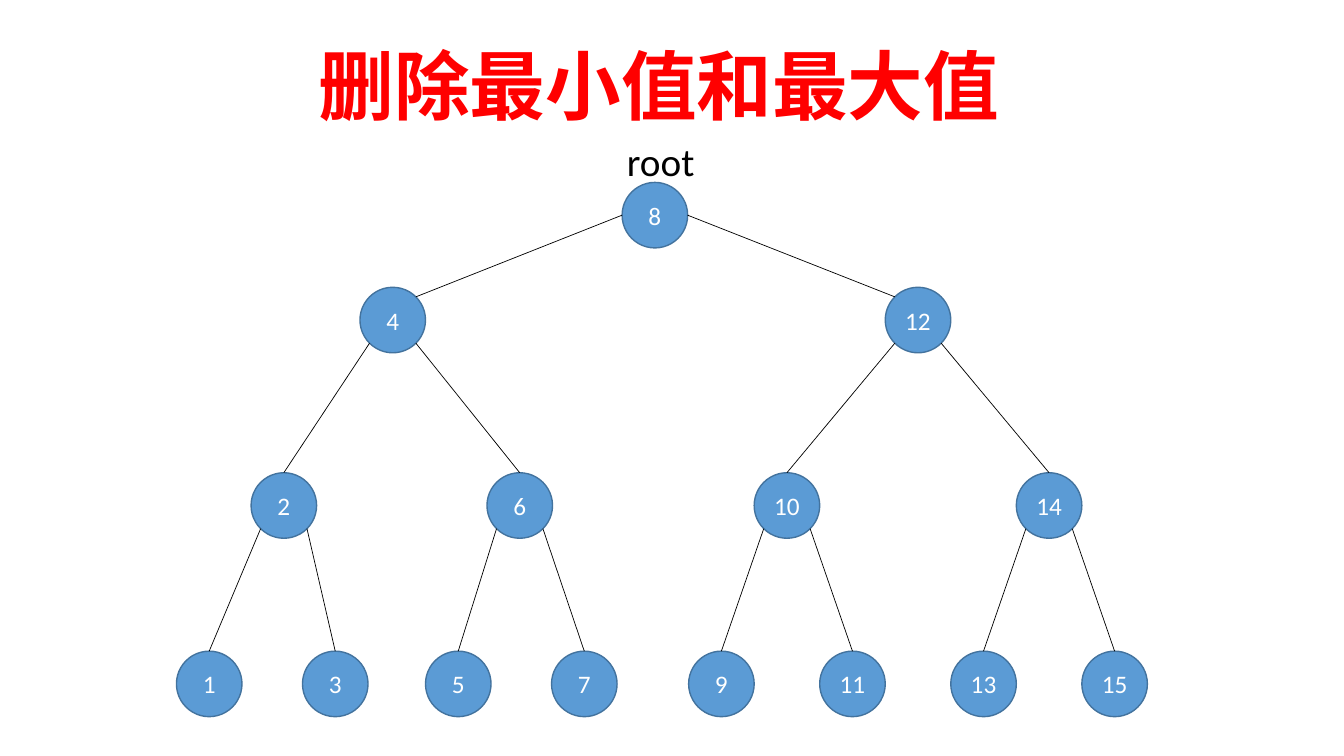
import math
from dataclasses import dataclass

import pptx
import pptx.dml.color
import pptx.enum.shapes
import pptx.enum.text
import pptx.oxml
import pptx.oxml.ns
import pptx.util

Inches = pptx.util.Inches
Pt = pptx.util.Pt

FONT = "Calibri"
COLORS = {
    "title": "FF0000",
    "label": "000000",
    "edge": "000000",
    "node": "5B9BD5",
    "outline": "43739E",
    "value": "FFFFFF",
}
DIAMETER = 0.65
RADIUS = DIAMETER / 2
DIAGONAL = RADIUS * math.sqrt(0.5)
# Top of each tree level, keyed by the distance from a node's value to its children's, doubled.
LEVEL_TOPS = {8: 1.81, 4: 2.85, 2: 4.69, 1: 6.46}
# Left edges of the nodes holding 1, 2, 3 and so on.
NODE_LEFTS = [1.75, 2.49, 3, 3.57, 4.22, 4.83, 5.47, 6.17,
              6.83, 7.48, 8.13, 8.78, 9.43, 10.08, 10.73]


@dataclass(frozen=True)
class Node:
    value: int
    left: float

    @property
    def span(self) -> int:
        """Largest power of two that divides the value; it marks the level."""
        return self.value & -self.value

    @property
    def top(self) -> float:
        return LEVEL_TOPS[self.span]

    @property
    def center(self) -> tuple[float, float]:
        return self.left + RADIUS, self.top + RADIUS


def rgb(name: str) -> pptx.dml.color.RGBColor:
    return pptx.dml.color.RGBColor.from_string(COLORS[name])


def write_text(shape, text: str, size: int, color: str, align, bold: bool = False) -> None:
    shape.text_frame.text = text
    para = shape.text_frame.paragraphs[0]
    para.alignment = align
    para.font.name = FONT
    para.font.size = Pt(size)
    para.font.bold = bold
    para.font.color.rgb = rgb(color)


def add_title(slide, text: str) -> None:
    title = slide.shapes.title
    title.left, title.top = Inches(3.06), Inches(0.34)
    title.width, title.height = Inches(7.35), Inches(1.01)
    write_text(title, text, 54, "title", pptx.enum.text.PP_ALIGN.LEFT, bold=True)
    title.text_frame.vertical_anchor = pptx.enum.text.MSO_ANCHOR.TOP
    title.text_frame.auto_size = pptx.enum.text.MSO_AUTO_SIZE.SHAPE_TO_FIT_TEXT


def add_root_label(slide) -> None:
    box = slide.shapes.add_textbox(Inches(6.12), Inches(1.31), Inches(0.91), Inches(0.57))
    write_text(box, "root", 28, "label", pptx.enum.text.PP_ALIGN.LEFT)
    box.text_frame.word_wrap = True
    box.text_frame.auto_size = pptx.enum.text.MSO_AUTO_SIZE.SHAPE_TO_FIT_TEXT


def add_node(slide, node: Node):
    circle = slide.shapes.add_shape(
        pptx.enum.shapes.MSO_SHAPE.OVAL, Inches(node.left), Inches(node.top),
        Inches(DIAMETER), Inches(DIAMETER))
    circle.shadow.inherit = False
    circle.fill.solid()
    circle.fill.fore_color.rgb = rgb("node")
    circle.line.color.rgb = rgb("outline")
    circle.line.width = Pt(1)
    write_text(circle, str(node.value), 18, "value", pptx.enum.text.PP_ALIGN.CENTER)
    circle.text_frame.vertical_anchor = pptx.enum.text.MSO_ANCHOR.MIDDLE
    circle.text_frame.word_wrap = False
    return circle


def add_edge(slide, parent: Node, child: Node, child_circle, is_root: bool) -> None:
    """Root edges run from its side to the child's shoulder, others to the child's top."""
    side = 1 if child.value > parent.value else -1
    parent_x, parent_y = parent.center
    child_x, child_y = child.center
    if is_root:
        start = parent_x + side * RADIUS, parent_y
        end = child_x - side * DIAGONAL, child_y - DIAGONAL
    else:
        start = parent_x + side * DIAGONAL, parent_y + DIAGONAL
        end = child_x, child.top
    edge = slide.shapes.add_connector(
        pptx.enum.shapes.MSO_CONNECTOR.STRAIGHT, *map(Inches, start + end))
    if not is_root:
        edge.end_connect(child_circle, 0)
    edge.line.color.rgb = rgb("edge")
    edge.line.width = Pt(0.5)
    properties = edge._element.spPr
    properties.append(pptx.oxml.parse_xml(
        f"<a:effectLst {pptx.oxml.ns.nsdecls('a')}/>"))


def main() -> None:
    deck = pptx.Presentation()
    deck.slide_width, deck.slide_height = Inches(13.33), Inches(7.5)
    slide = deck.slides.add_slide(deck.slide_layouts.get_by_name("Title Only"))
    add_title(slide, "删除最小值和最大值")

    nodes = {value: Node(value, left) for value, left in enumerate(NODE_LEFTS, start=1)}
    circles = {value: add_node(slide, node) for value, node in nodes.items()}
    root_span = max(LEVEL_TOPS)
    for parent in nodes.values():
        if parent.span == 1:
            continue
        for step in (-parent.span // 2, parent.span // 2):
            child = nodes[parent.value + step]
            add_edge(slide, parent, child, circles[child.value], parent.span == root_span)
    add_root_label(slide)
    deck.save("out.pptx")


if __name__ == "__main__":
    main()
